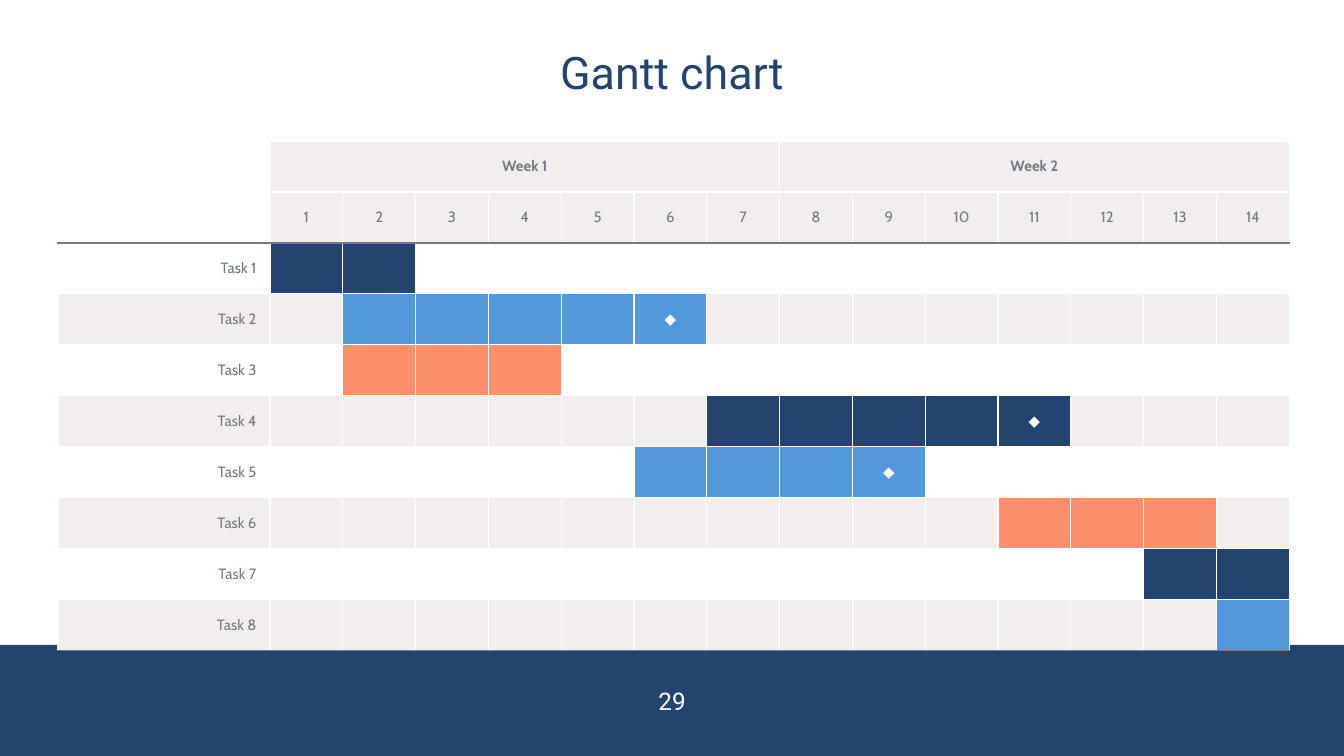
from dataclasses import dataclass

import lxml.etree
import pptx
import pptx.dml.color
import pptx.enum.shapes
import pptx.enum.text
import pptx.oxml.ns
import pptx.util

RGBColor = pptx.dml.color.RGBColor
Align = pptx.enum.text.PP_ALIGN

NAVY = RGBColor(0x22, 0x44, 0x6F)
BLUE = RGBColor(0x52, 0x99, 0xDC)
ORANGE = RGBColor(0xFB, 0x8F, 0x6C)
BAND = RGBColor(0xF1, 0xEE, 0xED)
GRAY = RGBColor(0x72, 0x7A, 0x85)
WHITE = RGBColor(0xFF, 0xFF, 0xFF)

EMU_PER_PX = 914400 / 134.4
SLIDE_WIDTH, SLIDE_HEIGHT = 1344, 756
FOOTER_TOP = 645
TABLE_LEFT, TABLE_TOP = 58, 141
LABEL_WIDTH, DAYS_WIDTH, ROW_HEIGHT = 212, 1020, 51
WEEKS, DAYS_PER_WEEK = 2, 7
DAYS = WEEKS * DAYS_PER_WEEK
HEADER_ROWS = 2
CELL_SIZE = 8
BORDER_WIDTH = 0.75


@dataclass(frozen=True)
class Task:
    first_day: int
    last_day: int
    color: RGBColor
    milestone: bool = False


TASKS = [
    Task(1, 2, NAVY),
    Task(2, 6, BLUE, milestone=True),
    Task(2, 4, ORANGE),
    Task(7, 11, NAVY, milestone=True),
    Task(6, 9, BLUE, milestone=True),
    Task(11, 13, ORANGE),
    Task(13, 14, NAVY),
    Task(14, 14, BLUE),
]


def px(length: int) -> int:
    return round(length * EMU_PER_PX)


def add_run(para, text: str, size: int, font: str, color: RGBColor,
            bold: bool = False) -> None:
    span = para.add_run()
    span.text = text
    span.font.size = pptx.util.Pt(size)
    span.font.name = font
    span.font.bold = bold
    span.font.color.rgb = color


def fill_text_frame(box, text: str, size: int, color: RGBColor):
    """Write one centred line in a frame without insets."""
    frame = box.text_frame
    frame.word_wrap = True
    frame.auto_size = pptx.enum.text.MSO_AUTO_SIZE.NONE
    frame.vertical_anchor = pptx.enum.text.MSO_ANCHOR.MIDDLE
    frame.margin_left = frame.margin_right = 0
    frame.margin_top = frame.margin_bottom = 0
    para = frame.paragraphs[0]
    para.alignment = Align.CENTER
    add_run(para, text, size, "Roboto", color)
    return para


def add_title(page) -> None:
    title = page.shapes.title
    title.left, title.top = px(126), px(0)
    title.width, title.height = px(1092), px(149)
    para = fill_text_frame(title, "Gantt chart", 24, NAVY)
    para.line_spacing = 0.9


def add_footer(page) -> None:
    band = page.shapes.add_shape(
        pptx.enum.shapes.MSO_SHAPE.RECTANGLE, 0, px(FOOTER_TOP),
        px(SLIDE_WIDTH), px(SLIDE_HEIGHT - FOOTER_TOP))
    band.shadow.inherit = False
    band.fill.solid()
    band.fill.fore_color.rgb = NAVY
    band.line.fill.background()
    number = page.shapes.add_textbox(px(577), px(663), px(190), px(75))
    fill_text_frame(number, "29", 13, WHITE)


def set_borders(cell, top: RGBColor, bottom: RGBColor) -> None:
    """Draw all four edges; the sides are always white."""
    properties = cell._tc.get_or_add_tcPr()
    edges = {"lnL": WHITE, "lnR": WHITE, "lnT": top, "lnB": bottom}
    for name, color in edges.items():
        line = lxml.etree.SubElement(properties, pptx.oxml.ns.qn(f"a:{name}"),
                                     w=str(pptx.util.Pt(BORDER_WIDTH)))
        solid = lxml.etree.SubElement(line, pptx.oxml.ns.qn("a:solidFill"))
        lxml.etree.SubElement(solid, pptx.oxml.ns.qn("a:srgbClr"), val=str(color))


def write_cell(cell, text: str, align=Align.CENTER, color: RGBColor = GRAY,
               bold: bool = False) -> None:
    para = cell.text_frame.paragraphs[0]
    para.alignment = align
    add_run(para, text, CELL_SIZE, "Cabin", color, bold)


def fill_cell(cell, color: RGBColor) -> None:
    cell.fill.solid()
    cell.fill.fore_color.rgb = color


def prepare_cells(table) -> None:
    """Give every cell its borders, no fill and a small empty line."""
    last_row = len(table.rows) - 1
    for row_index, row in enumerate(table.rows):
        top = GRAY if row_index == HEADER_ROWS else WHITE
        bottom = GRAY if row_index in (HEADER_ROWS - 1, last_row) else WHITE
        for cell in row.cells:
            set_borders(cell, top, bottom)
            cell.fill.background()
            cell.vertical_anchor = pptx.enum.text.MSO_ANCHOR.MIDDLE
            para = cell.text_frame.paragraphs[0]
            lxml.etree.SubElement(para._p, pptx.oxml.ns.qn("a:endParaRPr"),
                                  sz=str(CELL_SIZE * 100))


def write_header(table) -> None:
    for week in range(WEEKS):
        first = 1 + week * DAYS_PER_WEEK
        cell = table.cell(0, first)
        cell.merge(table.cell(0, first + DAYS_PER_WEEK - 1))
        fill_cell(cell, BAND)
        write_cell(cell, f"Week {week + 1}", bold=True)
    for day in range(1, DAYS + 1):
        cell = table.cell(1, day)
        fill_cell(cell, BAND)
        write_cell(cell, str(day))


def write_task(table, number: int, task: Task) -> None:
    row = HEADER_ROWS + number - 1
    if number % 2 == 0:
        for column in range(DAYS + 1):
            fill_cell(table.cell(row, column), BAND)
    write_cell(table.cell(row, 0), f"Task {number}", Align.RIGHT)
    for day in range(task.first_day, task.last_day + 1):
        fill_cell(table.cell(row, day), task.color)
    if task.milestone:
        write_cell(table.cell(row, task.last_day), "◆", color=WHITE)


def add_gantt(page) -> None:
    row_count = HEADER_ROWS + len(TASKS)
    table = page.shapes.add_table(
        row_count, DAYS + 1, px(TABLE_LEFT), px(TABLE_TOP),
        px(LABEL_WIDTH + DAYS_WIDTH), px(ROW_HEIGHT * row_count)).table
    table.first_row = table.horz_banding = False
    for index, column in enumerate(table.columns):
        column.width = px(DAYS_WIDTH) // DAYS if index else px(LABEL_WIDTH)
    for row in table.rows:
        row.height = px(ROW_HEIGHT)
    prepare_cells(table)
    write_header(table)
    for number, task in enumerate(TASKS, start=1):
        write_task(table, number, task)


def main() -> None:
    deck = pptx.Presentation()
    deck.slide_width, deck.slide_height = px(SLIDE_WIDTH), px(SLIDE_HEIGHT)
    page = deck.slides.add_slide(deck.slide_layouts.get_by_name("Title Only"))
    add_footer(page)
    add_title(page)
    add_gantt(page)
    deck.save("out.pptx")


if __name__ == "__main__":
    main()
